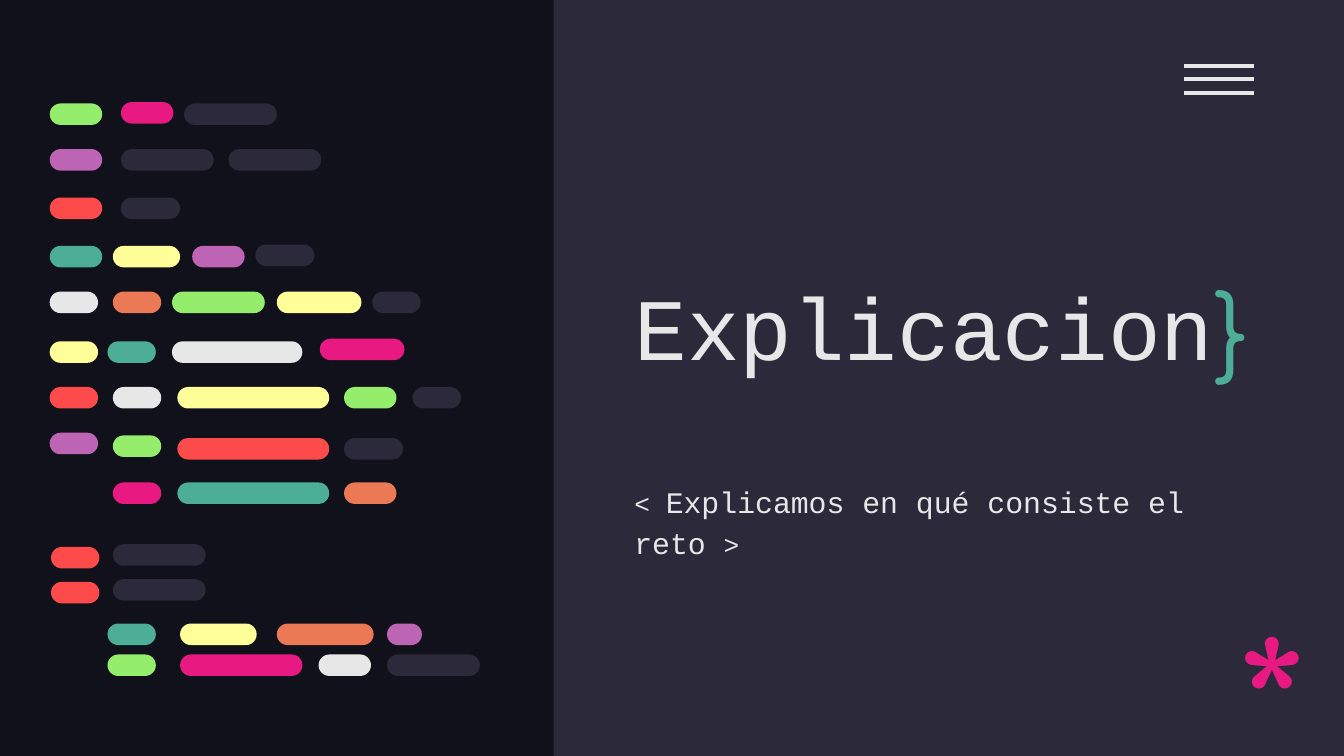
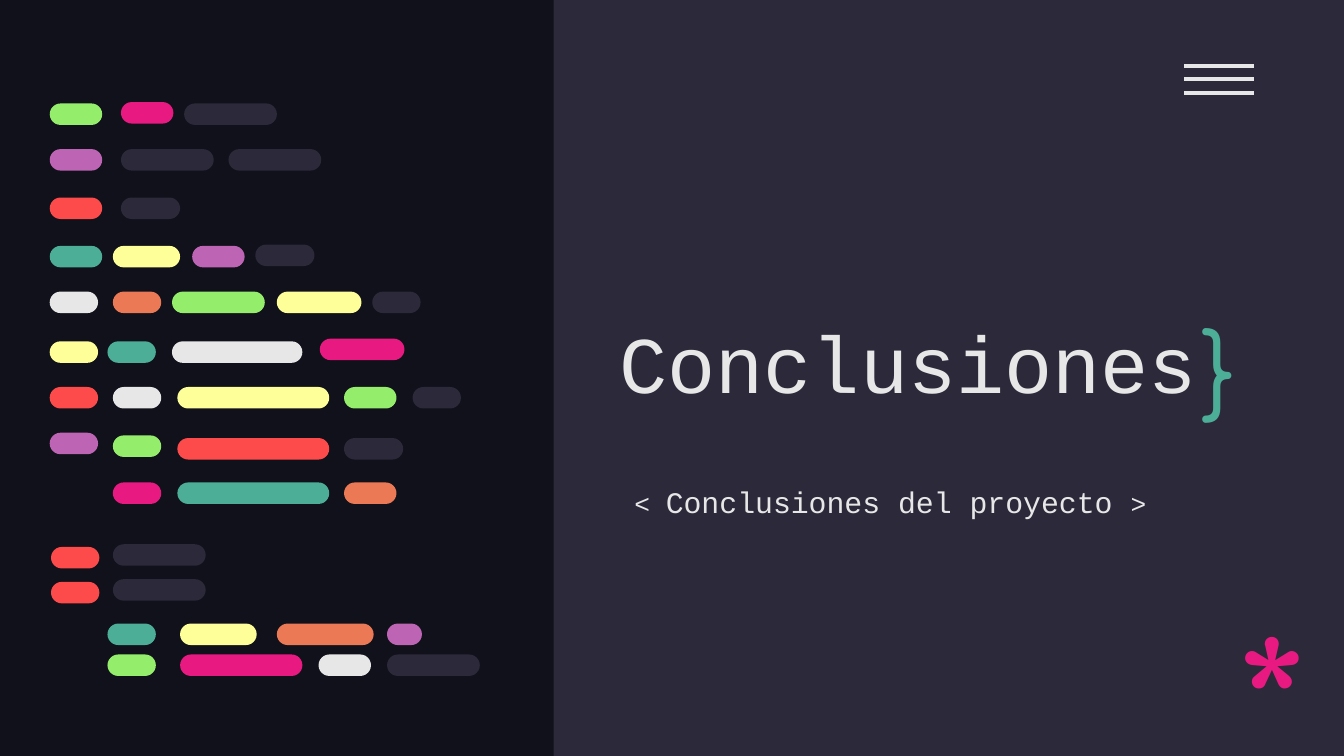
"""Build two section slides with a code-editor motif."""
from lxml.etree import SubElement
from pptx import Presentation
from pptx.dml.color import RGBColor
from pptx.enum.shapes import MSO_CONNECTOR, MSO_SHAPE
from pptx.enum.text import MSO_ANCHOR, MSO_AUTO_SIZE, PP_ALIGN
from pptx.oxml.ns import qn
from pptx.util import Inches, Pt

WIDTH, HEIGHT = 10, 10 * 9 / 16
CODE_FONT, SYMBOL_FONT = "Courier New", "Comfortaa"
COLOURS = {
    "night": "10111A", "panel": "2C293A", "white": "E7E7E7", "green": "94EE6B",
    "pink": "E81A81", "purple": "BD64B5", "red": "FD4A4A", "teal": "4CAE97",
    "yellow": "FFFF99", "orange": "EC7955",
}

SECTIONS = [
    {"title": "Explicacion", "size": 47, "title_at": (4.62, 0.76),
     "subtitle": "Explicamos en qué consiste el reto ", "brace_at": (8.94, 1.91)},
    {"title": "Conclusiones", "size": 43, "title_at": (4.51, 1),
     "subtitle": "Conclusiones del proyecto ", "brace_at": (8.84, 2.19)},
]

PANEL_LEFT = 4.12
MENU_LEFT, MENU_RIGHT, MENU_TOP, MENU_GAP, MENU_LINES = 8.81, 9.33, 0.49, 0.1, 3
TITLE_SIZE, SUBTITLE_FRAME = (4.6, 2.15), (4.62, 3.46, 4.6, 1.17)
STAR_FRAME, BRACE_SIZE = (9.11, 4.35, 0.57, 0.87), (0.57, 0.95)

PILL_HEIGHT = 0.16
CODE_LINES = [
    (0.77, [(0.37, 0.39, "green"), (1.37, 0.69, "panel")]),
    (0.76, [(0.9, 0.39, "pink")]),
    (1.11, [(0.37, 0.39, "purple"), (0.9, 0.69, "panel"), (1.7, 0.69, "panel")]),
    (1.47, [(0.37, 0.39, "red"), (0.9, 0.44, "panel")]),
    (1.83, [(0.37, 0.39, "teal"), (0.84, 0.5, "yellow"), (1.43, 0.39, "purple")]),
    (1.82, [(1.9, 0.44, "panel")]),
    (2.17, [(0.37, 0.36, "white"), (0.84, 0.36, "orange"), (1.28, 0.69, "green"),
            (2.06, 0.63, "yellow"), (2.77, 0.36, "panel")]),
    (2.54, [(0.37, 0.36, "yellow"), (0.8, 0.36, "teal"), (1.28, 0.97, "white")]),
    (2.52, [(2.38, 0.63, "pink")]),
    (2.88, [(0.37, 0.36, "red"), (0.84, 0.36, "white"), (1.32, 1.13, "yellow"),
            (2.56, 0.39, "green"), (3.07, 0.36, "panel")]),
    (3.22, [(0.37, 0.36, "purple")]),
    (3.24, [(0.84, 0.36, "green")]),
    (3.26, [(1.32, 1.13, "red"), (2.56, 0.44, "panel")]),
    (3.59, [(0.84, 0.36, "pink"), (1.32, 1.13, "teal"), (2.56, 0.39, "orange")]),
    (4.05, [(0.84, 0.69, "panel")]),
    (4.07, [(0.38, 0.36, "red")]),
    (4.31, [(0.84, 0.69, "panel")]),
    (4.33, [(0.38, 0.36, "red")]),
    (4.64, [(0.8, 0.36, "teal"), (1.34, 0.57, "yellow"), (2.06, 0.72, "orange"),
            (2.88, 0.26, "purple")]),
    (4.87, [(0.8, 0.36, "green"), (1.34, 0.91, "pink"), (2.37, 0.39, "white"),
            (2.88, 0.69, "panel")]),
]


def colour(name):
    return RGBColor.from_string(COLOURS[name])


def paint(shape, name):
    shape.fill.solid()
    shape.fill.fore_color.rgb = colour(name)


def add_block(parent, kind, frame, name):
    block = parent.shapes.add_shape(kind, *map(Inches, frame))
    block.shadow.inherit = False
    paint(block, name)
    block.line.fill.background()
    return block


def write(box, spans, font, name, anchor=MSO_ANCHOR.TOP, spacing=1.0):
    frame_format = {"word_wrap": True, "auto_size": MSO_AUTO_SIZE.NONE,
                    "vertical_anchor": anchor}
    for side in ("left", "top", "right", "bottom"):
        frame_format[f"margin_{side}"] = Inches(0.1)
    for key, value in frame_format.items():
        setattr(box.text_frame, key, value)
    para = box.text_frame.paragraphs[0]
    para_format = {"alignment": PP_ALIGN.LEFT, "line_spacing": spacing,
                   "space_before": Pt(0), "space_after": Pt(0)}
    for key, value in para_format.items():
        setattr(para, key, value)
    for text, size in spans:
        span = para.add_run()
        span.text = text
        span.font.name, span.font.size = font, Pt(size)
        span.font.color.rgb = colour(name)


def place(box, frame):
    for key, value in zip(("left", "top", "width", "height"), frame):
        setattr(box, key, Inches(value))
    box.element.getparent().append(box.element)


def add_menu(page):
    menu = page.shapes.add_group_shape()
    for index in range(MENU_LINES):
        top = MENU_TOP + index * MENU_GAP
        bar = menu.shapes.add_connector(
            MSO_CONNECTOR.STRAIGHT, *map(Inches, (MENU_LEFT, top, MENU_RIGHT, top)))
        bar.line.color.rgb = colour("white")
        bar.line.width = Pt(2.25)
        SubElement(bar.element.spPr, qn("a:effectLst"))


def add_code(page):
    code = page.shapes.add_group_shape()
    for top, pills in CODE_LINES:
        for left, width, name in pills:
            pill = add_block(code, MSO_SHAPE.ROUNDED_RECTANGLE,
                             (left, top, width, PILL_HEIGHT), name)
            pill.adjustments[0] = 0.5


def add_symbol(page, text, size, frame, name):
    box = page.shapes.add_textbox(*map(Inches, frame))
    write(box, [(text, size)], SYMBOL_FONT, name)


def add_section(deck, section):
    page = deck.slides.add_slide(deck.slide_layouts[0])
    page.background.fill.solid()
    page.background.fill.fore_color.rgb = colour("night")
    add_block(page, MSO_SHAPE.RECTANGLE,
              (PANEL_LEFT, 0, WIDTH - PANEL_LEFT, HEIGHT), "panel")
    add_menu(page)

    title, subtitle = page.shapes.title, page.placeholders[1]
    place(title, section["title_at"] + TITLE_SIZE)
    write(title, [(section["title"], section["size"])], CODE_FONT, "white",
          MSO_ANCHOR.BOTTOM)
    place(subtitle, SUBTITLE_FRAME)
    paint(subtitle, "panel")
    write(subtitle, [("< ", 14), (section["subtitle"], 16), (">", 14)],
          CODE_FONT, "white", spacing=1.15)

    add_symbol(page, "*", 96, STAR_FRAME, "pink")
    add_code(page)
    add_symbol(page, "}", 50, section["brace_at"] + BRACE_SIZE, "teal")


def main():
    deck = Presentation()
    deck.slide_width, deck.slide_height = Inches(WIDTH), Inches(HEIGHT)
    for section in SECTIONS:
        add_section(deck, section)
    deck.save("out.pptx")


if __name__ == "__main__":
    main()
